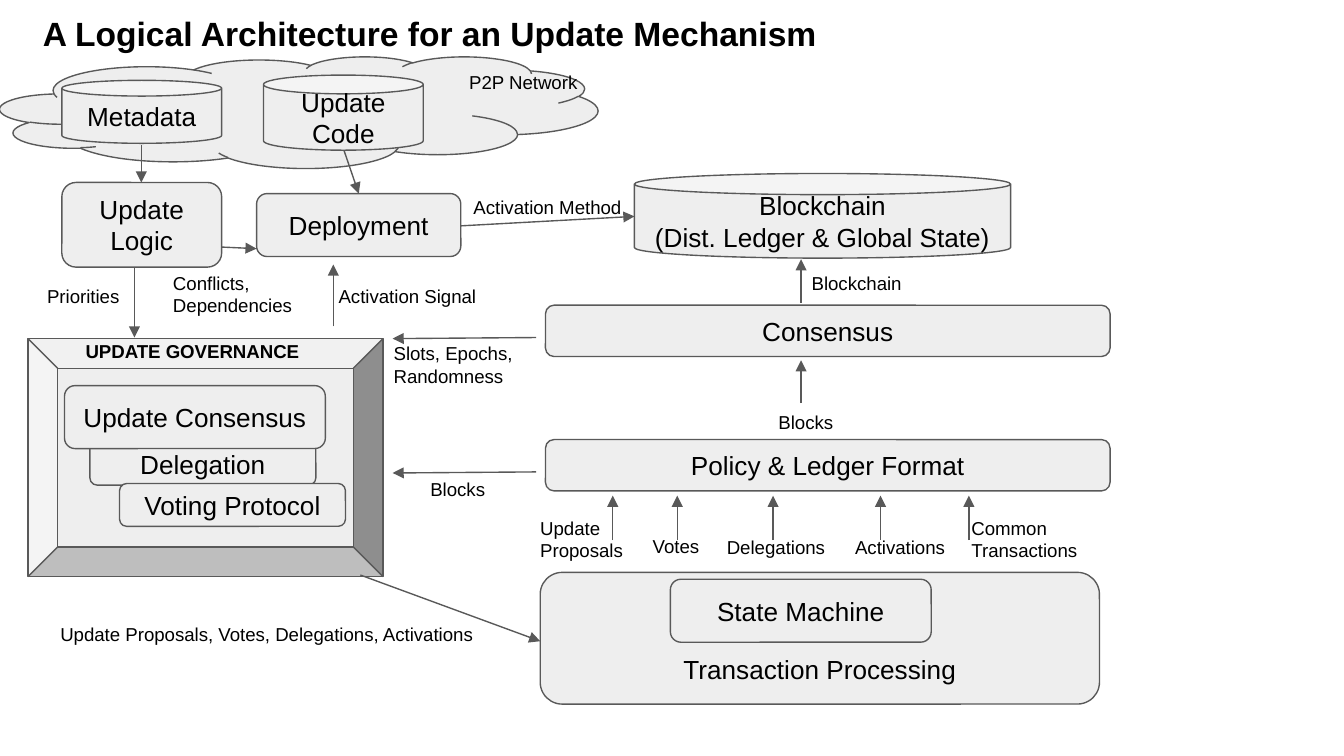
from lxml import etree
from pptx import Presentation
from pptx.dml.color import RGBColor
from pptx.enum import shapes, text
from pptx.oxml import ns
from pptx.util import Cm, Pt

FONT, INK, GREY, PALE = "Arial", "000000", "595959", "EEEEEE"
LABEL_HEIGHT = 0.81
ROUND, CAN = shapes.MSO_SHAPE.ROUNDED_RECTANGLE, shapes.MSO_SHAPE.CAN
LEFT, CENTER, RIGHT = text.PP_ALIGN.LEFT, text.PP_ALIGN.CENTER, text.PP_ALIGN.RIGHT
TOP, MIDDLE, BOTTOM = (text.MSO_ANCHOR.TOP, text.MSO_ANCHOR.MIDDLE,
                       text.MSO_ANCHOR.BOTTOM)

# Content, in cm
TITLE = "A Logical Architecture for an Update Mechanism"

# (preset, wording, left, top, width, height), back to front
BLOCKS = [
    (shapes.MSO_SHAPE.BEVEL, "", 0.53, 6.4, 6.71, 4.5),
    (shapes.MSO_SHAPE.CLOUD, "", 0, 1.07, 11.3, 2.11),
    (CAN, "Metadata", 1.17, 1.52, 3.02, 1.19),
    (CAN, "Update Code", 4.98, 1.42, 3.02, 1.42),
    (ROUND, "Update\nLogic", 1.17, 3.45, 3.02, 1.6),
    (ROUND, "Deployment", 4.85, 3.66, 3.86, 1.19),
    (CAN, "Blockchain\n(Dist. Ledger & Global State)", 11.99, 3.28, 7.11, 1.6),
    (ROUND, "Consensus", 10.31, 5.77, 10.67, 0.97),
    (ROUND, "Policy & Ledger Format", 10.31, 8.31, 10.67, 0.97),
    (ROUND, "Delegation", 1.7, 8.36, 4.27, 0.81),
    (ROUND, "Voting Protocol", 2.26, 9.14, 4.27, 0.81),
    (ROUND, "Update Consensus", 1.22, 7.29, 4.93, 1.19),
    (ROUND, "Transaction Processing", 10.21, 10.82, 10.57, 2.49),
    (ROUND, "State Machine", 12.67, 10.95, 4.93, 1.19),
]

# (start x, start y, end x, end y)
ARROWS = [
    (2.67, 2.74, 2.67, 3.45),      # metadata to update logic
    (6.5, 2.84, 6.78, 3.66),       # update code to deployment
    (4.19, 4.67, 4.85, 4.7),       # update logic to deployment
    (8.71, 4.27, 11.99, 4.09),     # deployment to blockchain
    (2.54, 5.05, 2.54, 6.38),      # update logic to governance
    (6.3, 6.17, 6.3, 5),           # governance to deployment
    (10.13, 6.38, 7.42, 6.4),      # consensus to governance
    (10.13, 8.92, 7.42, 8.94),     # policy to governance
    (6.81, 10.87, 10.21, 12.12),   # governance to transactions
    (15.14, 5.72, 15.14, 4.9),     # consensus to blockchain
    (15.14, 7.62, 15.14, 6.81),    # policy to consensus
]
# Transaction kinds rise side by side into the policy block
ARROWS += [(x, 10.21, x, 9.37) for x in (11.58, 12.8, 14.61, 16.64, 18.31)]

# (wording, left, top, width, alignment, anchor)
LABELS = [
    ("P2P Network", 8.1, 1.09, 3.58, CENTER, TOP),
    ("Activation Method", 8.48, 3.45, 3.73, CENTER, TOP),
    ("Priorities", 0.64, 5.13, 2.13, LEFT, TOP),
    ("Conflicts,\nDependencies", 3.02, 4.88, 5.16, LEFT, TOP),
    ("Activation Signal", 6.15, 5.13, 3.28, LEFT, TOP),
    ("Blockchain", 15.09, 4.88, 5.16, LEFT, TOP),
    ("Slots, Epochs,\nRandomness", 7.19, 6.22, 5.16, LEFT, TOP),
    ("Blocks", 14.38, 7.52, 1.7, CENTER, TOP),
    ("Blocks", 7.8, 8.79, 1.7, CENTER, TOP),
    ("Update Proposals", 9.96, 9.78, 2.13, LEFT, MIDDLE),
    ("Votes", 12.04, 9.86, 1.47, CENTER, TOP),
    ("Delegations", 13.46, 9.88, 2.41, CENTER, TOP),
    ("Activations", 15.7, 9.94, 2.41, RIGHT, MIDDLE),
    ("Common\nTransactions", 18.11, 9.78, 2.54, LEFT, MIDDLE),
    ("Update Proposals, Votes, Delegations, Activations",
     0.89, 11.53, 8.89, LEFT, TOP),
]
GOVERNANCE = ("UPDATE GOVERNANCE", 1.17, 6.17, 4.93, CENTER, TOP)


def colour(hex_value):
    return RGBColor.from_string(hex_value)


def write(shape, wording, size, align, anchor, bold=False):
    frame = shape.text_frame
    frame.text = wording
    frame.word_wrap = True
    frame.auto_size = text.MSO_AUTO_SIZE.NONE
    frame.vertical_anchor = anchor
    frame.margin_left = frame.margin_right = Cm(0.25)
    frame.margin_top = frame.margin_bottom = Cm(0.25)
    for para in frame.paragraphs:
        para.alignment = align
        for span in para.runs:
            span.font.name = FONT
            span.font.size = Pt(size)
            span.font.bold = bold
            span.font.color.rgb = colour(INK)


def outline(shape):
    shape.line.color.rgb = colour(GREY)
    shape.line.width = Pt(0.75)


def add_block(page, preset, wording, *place):
    block = page.shapes.add_shape(preset, *map(Cm, place))
    block.shadow.inherit = False
    block.fill.solid()
    block.fill.fore_color.rgb = colour(PALE)
    outline(block)
    if preset == shapes.MSO_SHAPE.BEVEL:
        block.adjustments[0] = 0.125
    if wording:
        anchor = BOTTOM if wording == "Transaction Processing" else MIDDLE
        write(block, wording, 14, CENTER, anchor)


def add_arrow(page, *ends):
    arrow = page.shapes.add_connector(shapes.MSO_CONNECTOR.STRAIGHT, *map(Cm, ends))
    outline(arrow)
    tip = etree.SubElement(arrow.line._get_or_add_ln(), ns.qn("a:tailEnd"))
    tip.set("type", "triangle")
    etree.SubElement(arrow._element.spPr, ns.qn("a:effectLst"))


def add_label(page, wording, left, top, width, align, anchor, bold=False):
    box = page.shapes.add_textbox(*map(Cm, (left, top, width, LABEL_HEIGHT)))
    write(box, wording, 10, align, anchor, bold)


def main():
    deck = Presentation()
    deck.slide_width, deck.slide_height = Cm(25.4), Cm(14.29)
    page = deck.slides.add_slide(deck.slide_layouts[5])

    # Title
    title = page.shapes.title
    title.left, title.top, title.width, title.height = map(Cm, (0.56, 0, 22.6, 1.2))
    write(title, TITLE, 18, LEFT, TOP, bold=True)

    # Diagram
    for block in BLOCKS:
        add_block(page, *block)
    for arrow in ARROWS:
        add_arrow(page, *arrow)
    for label in LABELS:
        add_label(page, *label)
    add_label(page, *GOVERNANCE, bold=True)

    deck.save("out.pptx")


if __name__ == "__main__":
    main()
